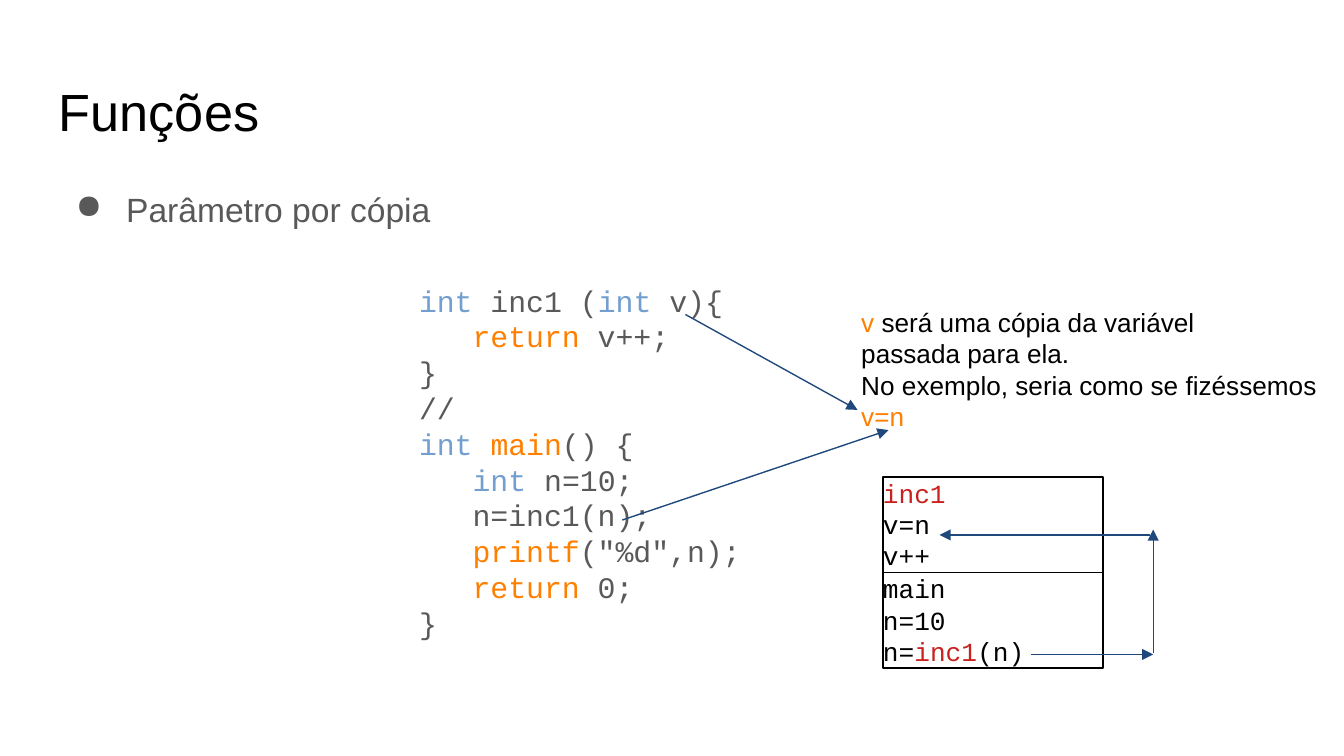
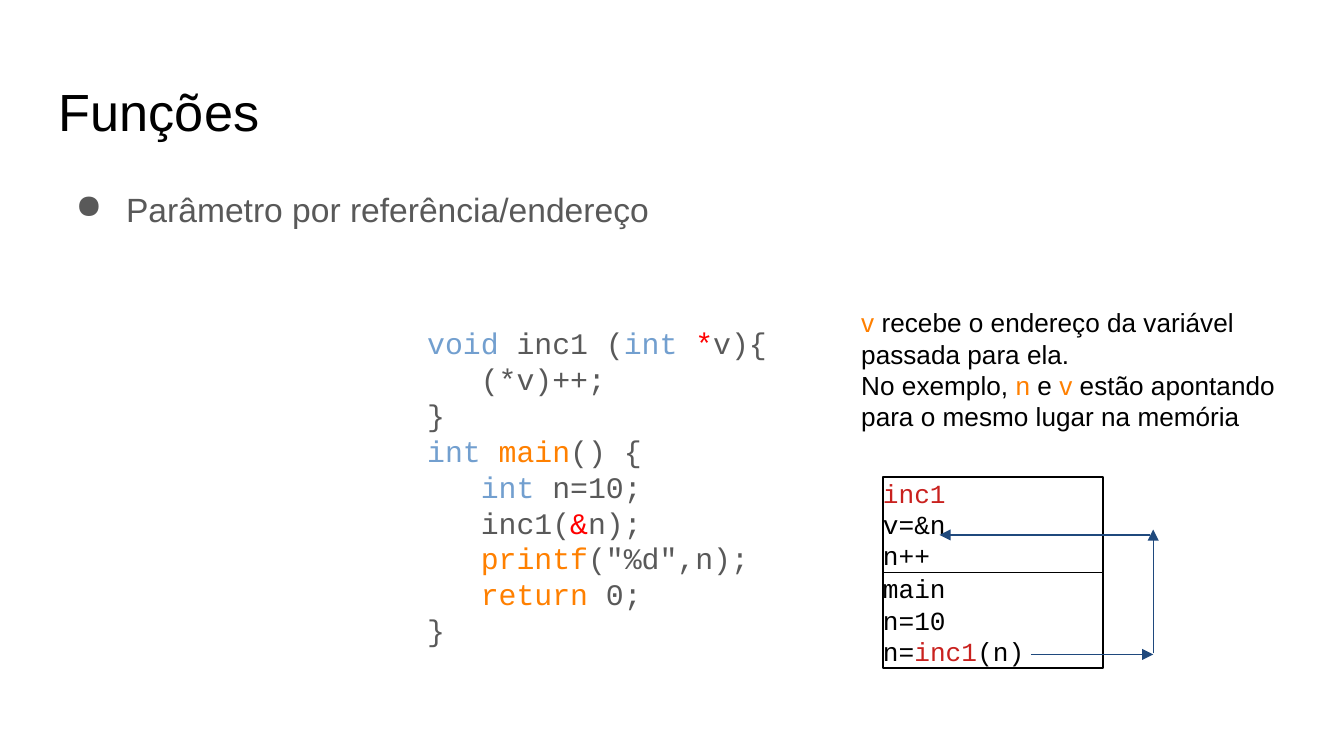
from dataclasses import dataclass
from typing import NamedTuple

from lxml import etree
from pptx import Presentation
from pptx import util as u
from pptx.dml.color import RGBColor
from pptx.enum import shapes, text
from pptx.oxml import ns

Pt = u.Pt


@dataclass(frozen=True)
class Theme:
    black: str = "000000"
    gray: str = "595959"
    blue: str = "729FCF"
    orange: str = "FF8000"
    red: str = "FF0000"
    brick: str = "C9211E"
    navy: str = "1F497D"
    sans: str = "Arial"
    mono: str = "Courier New"
    title: int = 28
    topic: int = 18
    code: int = 16
    note: int = 14
    line: float = 0.75
    lead: float = 1.2
    inset: float = 7.2


T = Theme()
MARKS = {"b": T.blue, "o": T.orange, "r": T.red, "k": T.brick}


class Box(NamedTuple):
    x: float
    y: float
    w: float
    h: float


class Arrow(NamedTuple):
    x1: float
    y1: float
    x2: float
    y2: float


class Page(NamedTuple):
    topic: str
    area: Box
    code: str
    block: Box
    note: str
    memo: Box
    frame: str
    links: tuple[Arrow, ...]


TITLE = Box(24.5, 35.3, 671, 45.4)
FRAME = Box(473, 255.6, 118, 51.1)
MAIN = "main\nn=10\nn=|kinc1|(n)"
CALL = (
    Arrow(552.2, 350.6, 617.8, 350.6),
    Arrow(617.8, 350, 617.8, 283.7),
    Arrow(616.3, 286.6, 503.3, 286.6),
)
BODY = """|bint |omain|() {
   |bint| n=10;
   %s
   |oprintf|("%%d",n);
   |oreturn| 0;
}"""

PAGES = (
    Page(
        "Parâmetro por cópia",
        Box(24.5, 90.7, 245.5, 69),
        "|bint| inc1 (|bint| v){\n   |oreturn| v++;\n}\n//\n" + BODY % "n=inc1(n);",
        Box(217.4, 144, 203, 217.4),
        "|ov| será uma cópia da variável\npassada para ela.\n"
        "No exemplo, seria como se fizéssemos\n|ov=n|",
        Box(454.3, 157, 266.4, 69),
        "|kinc1|\nv=n\nv++",
        (Arrow(333.4, 278.6, 476, 230.4), Arrow(367.2, 168.5, 459.4, 219.6)),
    ),
    Page(
        "Parâmetro por referência/endereço",
        Box(24.5, 90.7, 371.5, 60.5),
        "|bvoid| inc1 (|bint |r*|v){\n   (*v)++;\n}\n" + BODY % "inc1(|r&|n);",
        Box(221.8, 167, 277, 188),
        "|ov| recebe o endereço da variável\npassada para ela.\n"
        "No exemplo, |on| e |ov| estão apontando para o mesmo lugar na memória",
        Box(454.3, 157, 266.4, 82),
        "|kinc1|\nv=&n\nn++",
        (),
    ),
)


def parts(line: str) -> list[tuple[str, str]]:
    """Split a line at bars; a marked part opens with its colour letter.

    A bar after a marked part returns to plain text unless a mark follows.
    """
    out, marked = [], False
    for i, bit in enumerate(line.split("|")):
        plain = i == 0 or (marked and not (bit[:1] in MARKS and len(bit) > 1))
        marked = not plain
        if bit:
            out.append((bit, "") if plain else (bit[1:], MARKS[bit[0]]))
    return out


def write(shape, words: str, *, size: int, font: str = T.sans, color: str = T.black,
          inset: float = T.inset, bullet: bool = False) -> None:
    frame = shape.text_frame
    frame.word_wrap = True
    frame.vertical_anchor = text.MSO_ANCHOR.TOP
    frame.margin_left = frame.margin_right = Pt(inset)
    frame.margin_top = frame.margin_bottom = Pt(inset)
    for i, line in enumerate(words.split("\n")):
        para = frame.add_paragraph() if i else frame.paragraphs[0]
        para.alignment = text.PP_ALIGN.LEFT
        para.line_spacing = 1.15 if bullet else Pt(size * T.lead)
        for bit, tint in parts(line):
            run = para.add_run()
            run.text = bit
            run.font.size = Pt(size)
            run.font.name = font
            run.font.color.rgb = RGBColor.from_string(tint or color)
        if bullet:
            dot(para, color)


def dot(para, color: str) -> None:
    """Give a paragraph a round bullet with a hanging indent."""
    props = para._p.get_or_add_pPr()
    props.set("marL", str(Pt(36)))
    props.set("indent", str(-Pt(27)))
    tint = etree.SubElement(props, ns.qn("a:buClr"))
    etree.SubElement(tint, ns.qn("a:srgbClr")).set("val", color)
    etree.SubElement(props, ns.qn("a:buChar")).set("char", "●")


def label(slide, box: Box, words: str, **style) -> None:
    write(slide.shapes.add_textbox(*map(Pt, box)), words, **style)


def cell(slide, box: Box, words: str) -> None:
    """Draw one outlined stack frame."""
    rect = slide.shapes.add_shape(shapes.MSO_SHAPE.RECTANGLE, *map(Pt, box))
    rect.shadow.inherit = False
    rect.fill.background()
    rect.line.color.rgb = RGBColor.from_string(T.black)
    rect.line.width = Pt(T.line)
    write(rect, words, size=T.note, font=T.mono, inset=0)


def link(slide, arrow: Arrow) -> None:
    line = slide.shapes.add_connector(shapes.MSO_CONNECTOR.STRAIGHT, *map(Pt, arrow))
    line.line.color.rgb = RGBColor.from_string(T.navy)
    line.line.width = Pt(T.line)
    tip = etree.SubElement(line.line._get_or_add_ln(), ns.qn("a:tailEnd"))
    tip.set("type", "triangle")
    etree.SubElement(line._element.spPr, ns.qn("a:effectLst"))


def draw(slide, page: Page) -> None:
    label(slide, TITLE, "Funções", size=T.title)
    label(slide, page.area, page.topic, size=T.topic, color=T.gray, bullet=True)
    label(slide, page.block, page.code, size=T.code, font=T.mono, color=T.gray)
    label(slide, page.memo, page.note, size=T.note)
    for arrow in page.links:
        link(slide, arrow)
    cell(slide, FRAME._replace(y=FRAME.y + FRAME.h), MAIN)
    cell(slide, FRAME, page.frame)
    for arrow in CALL:
        link(slide, arrow)


def main() -> None:
    deck = Presentation()
    deck.slide_width, deck.slide_height = Pt(720), Pt(405)
    for page in PAGES:
        draw(deck.slides.add_slide(deck.slide_layouts[6]), page)
    deck.save("out.pptx")


if __name__ == "__main__":
    main()
